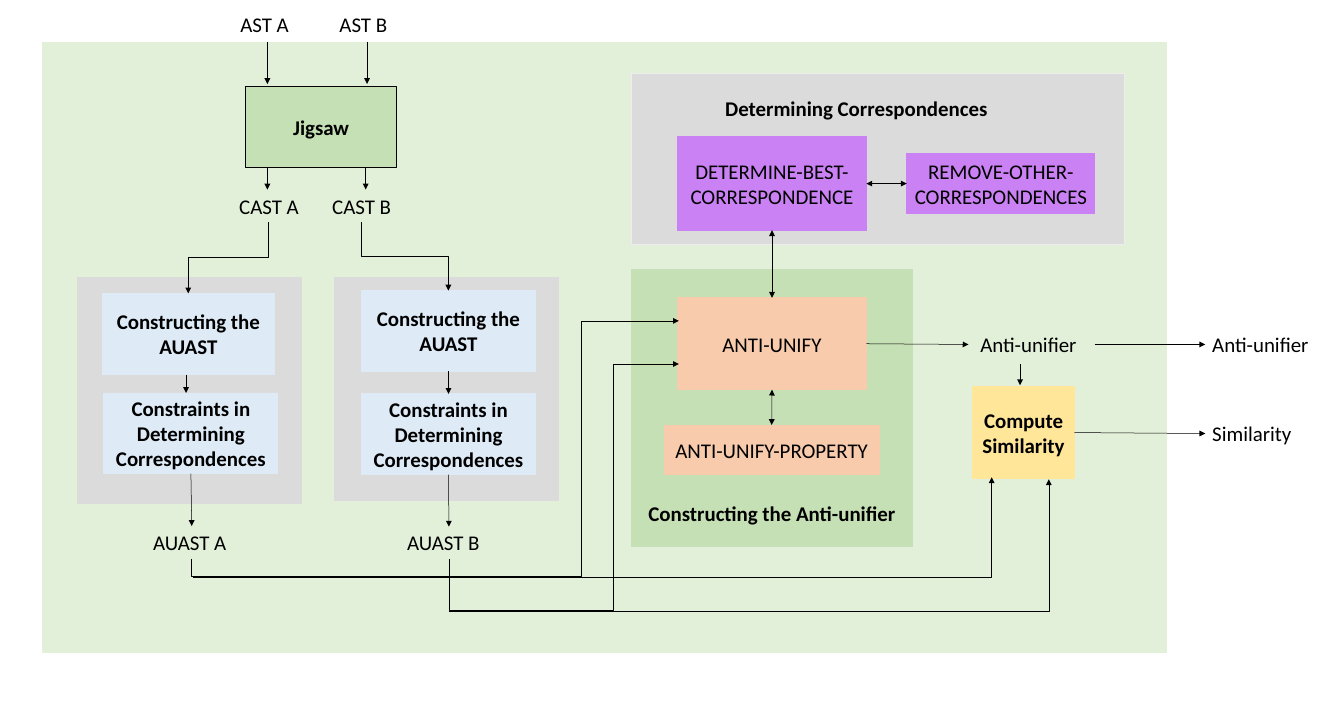
from dataclasses import dataclass

from lxml.etree import SubElement
from pptx import Presentation
from pptx.dml.color import RGBColor
from pptx.enum.shapes import MSO_CONNECTOR as Line, MSO_SHAPE as Shape
from pptx.enum.text import MSO_ANCHOR as Anchor, PP_ALIGN as Align
from pptx.oxml.ns import qn
from pptx.util import Cm, Pt


@dataclass(frozen=True)
class Theme:
    font: str = "Calibri"
    size: float = 21.3
    ink: str = "000000"
    backdrop: str = "E2F0D9"
    green: str = "C5E0B4"
    grey: str = "DBDBDB"
    pale_grey: str = "EDEDED"
    blue: str = "DEEBF7"
    purple: str = "CA81F3"
    orange: str = "F8CBAD"
    yellow: str = "FFE699"
    arrow_width: float = 0.5


theme = Theme()
TOP, LEFT, BOTTOM, RIGHT = range(4)

presentation = Presentation()
presentation.slide_width = Cm(48.26)
presentation.slide_height = Cm(25.4)
slide = presentation.slides.add_slide(presentation.slide_layouts[6])


def write(shape, text, bold, align):
    frame = shape.text_frame
    frame.word_wrap = True
    paragraph = frame.paragraphs[0]
    paragraph.text = text
    paragraph.alignment = align
    font = paragraph.font
    font.name, font.size, font.bold = theme.font, Pt(theme.size), bold
    font.color.rgb = RGBColor.from_string(theme.ink)


def draw_arrow(kind, begin, end, both_ways=False):
    connector = slide.shapes.add_connector(kind, *map(Cm, (*begin, *end)))
    connector.line.width = Pt(theme.arrow_width)
    connector.line.color.rgb = RGBColor.from_string(theme.ink)
    outline = connector.line._get_or_add_ln()
    for tag in ("a:headEnd", "a:tailEnd")[0 if both_ways else 1:]:
        SubElement(outline, qn(tag), type="triangle")
    SubElement(connector.element.spPr, qn("a:effectLst"))
    return connector


# Panels and boxes: key, left, top, width, height, fill, outline, text, bold
construct = "Constructing the AUAST"
constrain = "Constraints in Determining Correspondences"
boxes = [
    ("backdrop", 1.52, 1.52, 40.37, 21.92, theme.backdrop, theme.backdrop, "", False),
    ("jigsaw", 8.81, 3.1, 5.44, 2.92, theme.green, theme.ink, "Jigsaw", True),
    ("panel A", 2.77, 9.98, 8.04, 8.1, theme.grey, theme.grey, "", False),
    ("construct A", 3.68, 10.54, 6.17, 2.9, theme.blue, theme.blue, construct, True),
    ("constrain A", 3.73, 14.12, 6.25, 2.9, theme.blue, theme.blue, constrain, True),
    ("panel B", 12.01, 9.96, 8.03, 8.03, theme.grey, theme.grey, "", False),
    ("construct B", 12.98, 10.44, 6.25, 2.9, theme.blue, theme.blue, construct, True),
    ("constrain B", 12.98, 14.15, 6.25, 2.9, theme.blue, theme.blue, constrain, True),
    ("correspondences", 22.68, 2.64, 17.71, 6.13, theme.grey, theme.pale_grey, "", False),
    ("best", 24.33, 4.92, 6.78, 3.35, theme.purple, theme.purple,
     "DETERMINE-BEST-CORRESPONDENCE", False),
    ("others", 32.56, 5.51, 6.76, 2.17, theme.purple, theme.purple,
     "REMOVE-OTHER-CORRESPONDENCES", False),
    ("construction", 22.68, 9.68, 10.08, 9.96, theme.green, theme.green, "", False),
    ("anti-unify", 24.33, 10.7, 6.78, 3.3, theme.orange, theme.orange, "ANTI-UNIFY", False),
    ("property", 23.85, 15.27, 7.72, 1.78, theme.orange, theme.orange,
     "ANTI-UNIFY-PROPERTY", False),
    ("compute", 34.93, 13.89, 3.65, 3.3, theme.yellow, theme.yellow,
     "Compute Similarity", True),
]
shapes = {}
for key, left, top, width, height, fill, outline, text, bold in boxes:
    box = slide.shapes.add_shape(Shape.RECTANGLE, *map(Cm, (left, top, width, height)))
    box.shadow.inherit = False
    box.fill.solid()
    box.fill.fore_color.rgb = RGBColor.from_string(fill)
    box.line.color.rgb = RGBColor.from_string(outline)
    box.line.width = Pt(1)
    if text:
        write(box, text, bold, Align.CENTER)
        box.text_frame.vertical_anchor = Anchor.MIDDLE
    shapes[key] = box

# Labels: key, left, top, width, left inset, text
labels = [
    ("AST A", 8.38, 0.28, 2.44, 0.25, "AST A"),
    ("AST B", 11.94, 0.28, 2.49, 0.25, "AST B"),
    ("CAST A", 8, 6.82, 3.25, 0.59, "CAST A"),
    ("CAST B", 11.68, 6.82, 2.64, 0.25, "CAST B"),
    ("AUAST A", 5.08, 18.9, 3.61, 0.42, "AUAST A"),
    ("AUAST B", 14.2, 18.92, 3.84, 0.42, "AUAST B"),
    ("anti-unifier", 34.78, 11.79, 4.53, 0.42, "Anti-unifier"),
    ("result", 43.28, 11.79, 4.5, 0.25, "Anti-unifier"),
    ("similarity", 43.28, 14.99, 4.5, 0.25, "Similarity"),
]
for key, left, top, width, inset, text in labels:
    label = slide.shapes.add_textbox(*map(Cm, (left, top, width, 1.17)))
    write(label, text, False, Align.LEFT)
    label.text_frame.margin_left = Cm(inset)
    shapes[key] = label

for left, top, width, text in [
    (23.5, 3.3, 14.5, "Determining Correspondences"),
    (23.01, 17.86, 9.42, "Constructing the Anti-unifier"),
]:
    heading = slide.shapes.add_textbox(*map(Cm, (left, top, width, 1.17)))
    write(heading, text, True, Align.CENTER)

# Arrows joined to the sides of boxes and labels
for source, source_side, target, target_side, both_ways in [
    ("best", RIGHT, "others", LEFT, True),
    ("best", BOTTOM, "anti-unify", TOP, True),
    ("anti-unify", BOTTOM, "property", TOP, True),
    ("anti-unify", RIGHT, "anti-unifier", LEFT, False),
    ("anti-unifier", RIGHT, "result", LEFT, False),
    ("compute", RIGHT, "similarity", LEFT, False),
    ("construct B", BOTTOM, "constrain B", TOP, False),
    ("constrain A", BOTTOM, "AUAST A", TOP, False),
    ("constrain B", BOTTOM, "AUAST B", TOP, False),
]:
    arrow = draw_arrow(Line.STRAIGHT, (0, 0), (0, 0), both_ways)
    arrow.begin_connect(shapes[source], source_side)
    arrow.end_connect(shapes[target], target_side)

# Vertical arrows that meet a box away from the middle of its side
for x, top, bottom in [
    (9.6, 1.52, 3.02), (13.18, 1.52, 3.02),
    (9.6, 6.02, 6.81), (13.13, 6.02, 6.81),
    (6.68, 13.46, 14.12), (36.63, 13.08, 13.84),
]:
    draw_arrow(Line.STRAIGHT, (x, top), (x, bottom))

# Elbows: begin, end, whether they leave vertically, bends in 1/100000 of the span
for (x1, y1), (x2, y2), vertical, bends in [
    ((9.63, 7.98), (6.76, 10.54), True, [50000]),
    ((12.98, 7.98), (16.1, 10.44), True, [50000]),
    ((6.88, 20.07), (24.38, 11.53), True, [-7400, 80000]),
    ((16.13, 20.09), (24.38, 13.08), True, [-26400, 71400]),
    ((6.93, 20.73), (35.61, 17.15), False, [100000]),
    ((16.12, 21.95), (37.66, 17.22), False, [100000]),
]:
    begin, end = (x1, y1), (x2, y2)
    if vertical:  # a quarter turn about the centre makes the first leg vertical
        x, y = (x1 + x2) / 2, (y1 + y2) / 2
        across, down = (x2 - x1) / 2, (y2 - y1) / 2
        begin, end = (x - down, y + across), (x + down, y - across)
    elbow = draw_arrow(Line.ELBOW, begin, end)
    properties = elbow.element.spPr
    if vertical:
        properties.find(qn("a:xfrm")).set("rot", "5400000")
    geometry = properties.find(qn("a:prstGeom"))
    geometry.set("prst", f"bentConnector{len(bends) + 2}")
    guides = geometry.find(qn("a:avLst"))
    for number, bend in enumerate(bends, 1):
        SubElement(guides, qn("a:gd"), name=f"adj{number}", fmla=f"val {bend}")

presentation.save("out.pptx")
